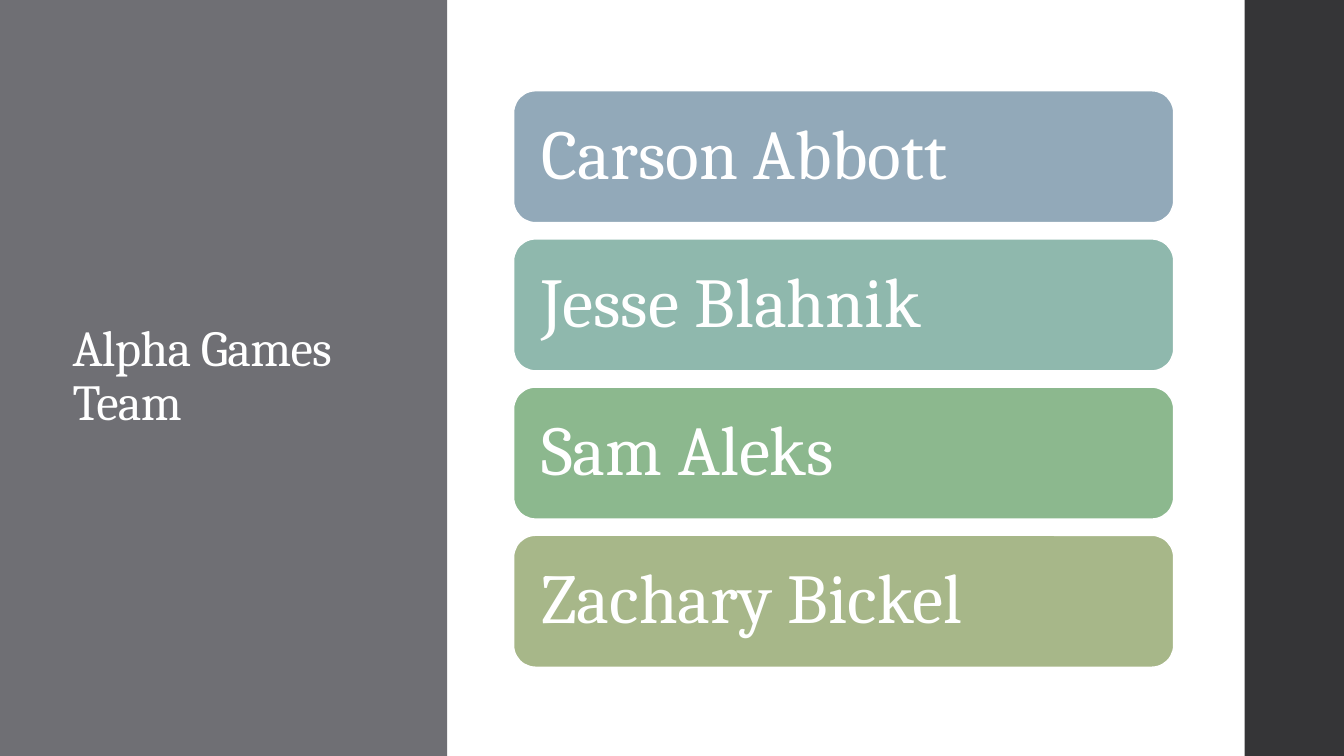
from pptx import Presentation
from pptx import util as u
from pptx.dml import color
from pptx.enum import shapes, text

WIDTH, HEIGHT = 960, 540
MEMBERS = [
    ("Carson Abbott", "92A9B9"),
    ("Jesse Blahnik", "8FB8AD"),
    ("Sam Aleks", "8CB88E"),
    ("Zachary Bickel", "A7B789"),
]


def rgb(value):
    return color.RGBColor.from_string(value)


def add_block(slide, kind, box, fill):
    block = slide.shapes.add_shape(kind, *map(u.Pt, box))
    block.shadow.inherit = False
    block.fill.solid()
    block.fill.fore_color.rgb = rgb(fill)
    block.line.fill.background()
    return block


def write(frame, words, size, inset):
    frame.word_wrap = True
    frame.auto_size = text.MSO_AUTO_SIZE.NONE
    frame.vertical_anchor = text.MSO_ANCHOR.MIDDLE
    frame.margin_left = frame.margin_right = u.Pt(inset)
    line = frame.paragraphs[0]
    line.alignment = text.PP_ALIGN.LEFT
    line.line_spacing = 0.9
    run = line.add_run()
    run.text = words
    run.font.size = u.Pt(size)
    run.font.name = "Cambria"
    run.font.color.rgb = rgb("FFFFFF")
    return run


def title_panel(slide, box):
    left, top, width, height = box
    panel = add_block(slide, shapes.MSO_SHAPE.RECTANGLE, box, "6F6F74")
    title = slide.shapes.title
    title.element.addprevious(panel.element)
    title.left, title.top = u.Pt(left + 44.6), u.Pt(top + 65.5)
    title.width, title.height = u.Pt(width - 74.2), u.Pt(height - 131.8)
    run = write(title.text_frame, "Alpha Games Team", 36, 7.2)
    run.font._element.set("spc", "-50")


def member_list(slide, box, gap=11.5):
    left, top, width, height = box
    card_height = (height - gap * (len(MEMBERS) - 1)) / len(MEMBERS)
    for index, (member, fill) in enumerate(MEMBERS):
        card_top = top + index * (card_height + gap)
        card = add_block(slide, shapes.MSO_SHAPE.ROUNDED_RECTANGLE,
                         (left, card_top, width, card_height), fill)
        card.line.color.rgb = rgb("FFFFFF")
        card.line.width = u.Pt(1.1)
        write(card.text_frame, member, 50, 15.2)


def main():
    deck = Presentation()
    deck.slide_width, deck.slide_height = u.Pt(WIDTH), u.Pt(HEIGHT)
    slide = deck.slides.add_slide(deck.slide_layouts[5])
    title_panel(slide, (0, 0, 319.5, HEIGHT))
    add_block(slide, shapes.MSO_SHAPE.RECTANGLE, (889, 0, 71, HEIGHT), "353537")
    member_list(slide, (366.8, 64.8, 471.6, 411.9))
    deck.save("out.pptx")


if __name__ == "__main__":
    main()
